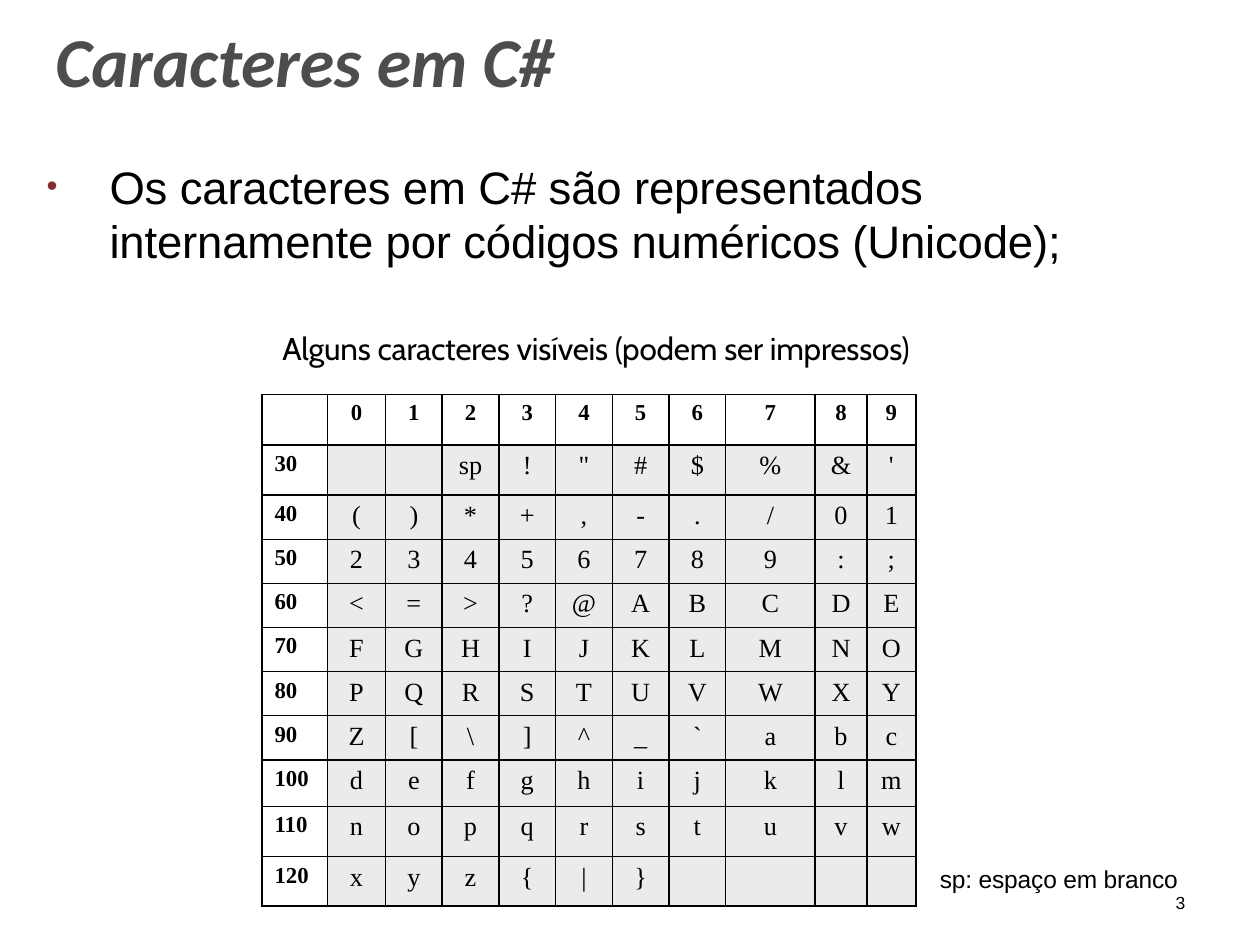
"""Slide on how C# characters map to numeric codes, with a table of visible ones."""
import pptx
import pptx.util
import pptx.dml.color
import pptx.enum.text
import pptx.oxml
import pptx.oxml.ns

HUES = {"ink": "000000", "title": "4D4D4D", "dot": "852B34", "cell": "EBEBEB"}
ALIGN = {
    "left": pptx.enum.text.PP_ALIGN.LEFT,
    "mid": pptx.enum.text.PP_ALIGN.CENTER,
}
SPACE = pptx.oxml.ns.nsdecls("a")


def color(name):
    return pptx.dml.color.RGBColor.from_string(HUES[name])


def write(para, text, font="Arial", size=14, hue="ink", bold=False, slant=False,
          track=0, align="left", before=0, left=0, hang=0, dot=None):
    """Fill a paragraph with text in the given format."""
    props = para._p.get_or_add_pPr()
    props.set("marL", str(pptx.util.Inches(left)))
    props.set("indent", str(pptx.util.Inches(-hang)))
    if dot:
        for part in (
            f'<a:buClr {SPACE}><a:srgbClr val="{HUES["dot"]}"/></a:buClr>',
            f'<a:buSzPct {SPACE} val="69000"/>',
            f'<a:buFont {SPACE} typeface="Arial"/>',
            f'<a:buChar {SPACE} char="{dot}"/>',
        ):
            props.append(pptx.oxml.parse_xml(part))
    para.alignment = ALIGN[align]
    if before:
        para.space_before = pptx.util.Pt(before)
    run = para.add_run()
    run.text = text
    run.font.name = font
    run.font.size = pptx.util.Pt(size)
    run.font.bold, run.font.italic = bold, slant
    run.font.color.rgb = color(hue)
    if track:
        run._r.get_or_add_rPr().set("spc", str(round(track * 100)))


class Deck:
    """Holds the style and the current slide, on a grid of 100 columns by 75 rows."""

    def __init__(self):
        self.file = pptx.Presentation()
        self.file.slide_width = pptx.util.Inches(10)
        self.file.slide_height = pptx.util.Inches(7.5)
        self.slide = self.file.slides.add_slide(self.file.slide_layouts[6])

    def grid(self, *units):
        return [round(self.file.slide_width * unit / 100) for unit in units]

    def text(self, place, *paras, wrap=False):
        frame = self.slide.shapes.add_textbox(*self.grid(*place)).text_frame
        frame.word_wrap = wrap
        frame.margin_left = frame.margin_right = frame.margin_bottom = 0
        frame.margin_top = pptx.util.Inches(0.01)
        for i, (words, style) in enumerate(paras):
            para = frame.add_paragraph() if i else frame.paragraphs[0]
            write(para, words, **style)

    def border(self, cell):
        props = cell._tc.get_or_add_tcPr()
        for i, side in enumerate(("lnL", "lnR", "lnT", "lnB")):
            props.insert(i, pptx.oxml.parse_xml(
                f'<a:{side} {SPACE} w="12700"><a:solidFill>'
                f'<a:srgbClr val="{HUES["ink"]}"/></a:solidFill></a:{side}>'))

    def cell(self, cell, words, head, label):
        cell.margin_left = cell.margin_right = cell.margin_bottom = 0
        cell.margin_top = pptx.util.Inches(0.05)
        if head:
            cell.fill.background()
        else:
            cell.fill.solid()
            cell.fill.fore_color.rgb = color("cell")
        self.border(cell)
        if words:
            write(cell.text_frame.paragraphs[0], words, font="Times New Roman",
                  size=13 if head else 15, bold=head,
                  align="left" if label else "mid", left=0.1 if label else 0)

    def table(self, left, top, cols, rows, data):
        area = self.grid(left, top, sum(cols), sum(rows))
        table = self.slide.shapes.add_table(len(rows), len(cols), *area).table
        table.first_row = table.horz_banding = False
        for col, width in zip(table.columns, self.grid(*cols)):
            col.width = width
        for row, height in zip(table.rows, self.grid(*rows)):
            row.height = height
        for r, line in enumerate(data):
            for c, words in enumerate(line):
                self.cell(table.cell(r, c), words, r == 0 or c == 0, c == 0)


def glyph(code):
    """Give the visible sign for a code, or nothing."""
    if code == 32:
        return "sp"
    return chr(code) if 32 < code < 126 else ""


def main():
    deck = Deck()
    deck.text((92.1, 70.7, 2.4, 1.8), ("3", dict(size=10, left=0.12)))
    deck.text(
        (3.6, 12.5, 81.4, 16.8),
        ("Os caracteres em C# são representados internamente por códigos "
         "numéricos (Unicode);",
         dict(size=26, track=-0.1, left=0.51, hang=0.5, dot="•")),
        ("Alguns caracteres visíveis (podem ser impressos)",
         dict(font="Cabin", size=18, track=-0.1, align="mid", before=35, left=0.6)),
        wrap=True)
    data = [["", *map(str, range(10))]]
    for tens in range(30, 130, 10):
        data.append([str(tens), *(glyph(tens + unit) for unit in range(10))])
    deck.table(20.8, 31.3, [5.2, 4.6] + [4.5] * 6 + [7.1, 4.1, 3.9],
               [4, 4] + [3.5] * 6 + [3.7, 4, 3.9], data)
    deck.text((74.5, 68.5, 19.4, 2.6),
              ("sp: espaço em branco", dict(track=-0.1, left=0.01)))
    deck.text((4.3, 1.3, 40.2, 7),
              ("Caracteres em C#", dict(font="Calibri", size=40, hue="title", bold=True,
                                        slant=True, track=-0.1, left=0.01)))
    deck.file.save("out.pptx")


if __name__ == "__main__":
    main()
